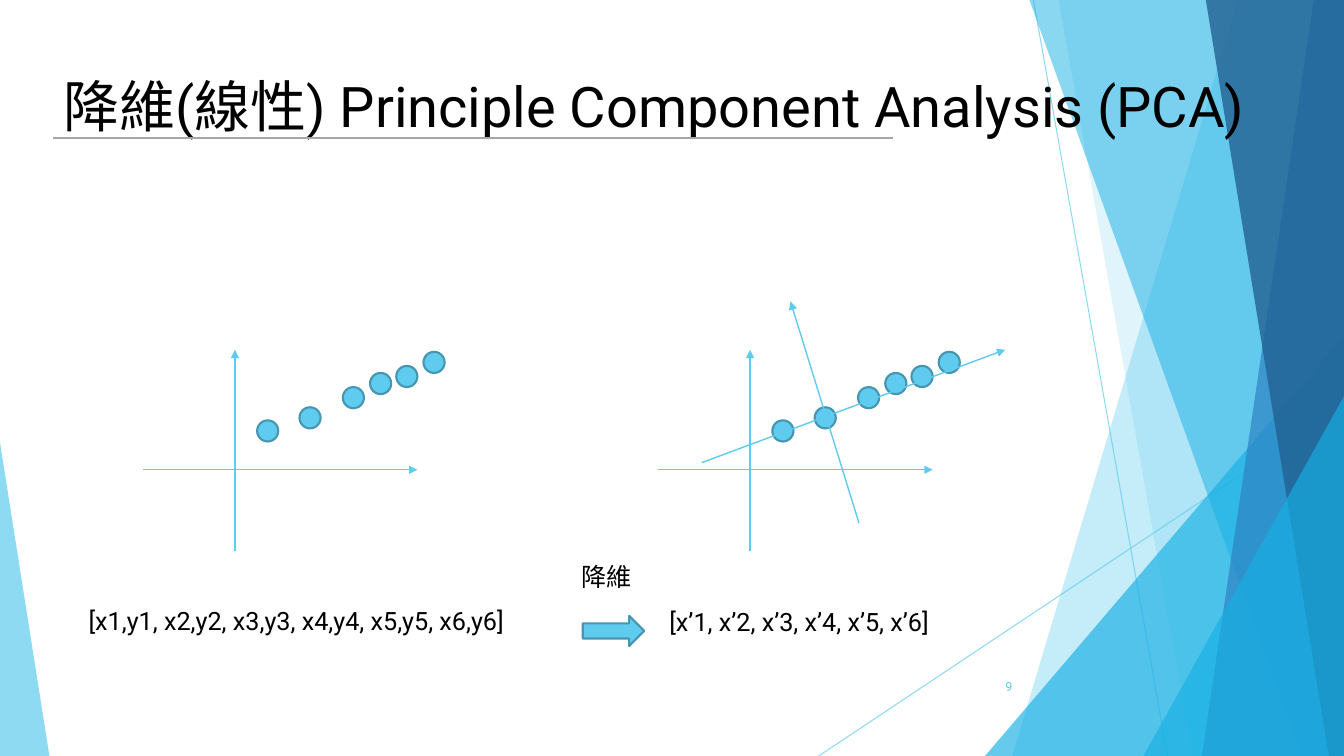
from lxml import etree
from pptx import Presentation
from pptx.dml.color import RGBColor
from pptx.enum.shapes import MSO_CONNECTOR, MSO_SHAPE
from pptx.enum.text import MSO_ANCHOR, MSO_AUTO_SIZE, PP_ALIGN
from pptx.oxml.ns import qn
from pptx.util import Inches, Pt

WIDTH, HEIGHT = 13.33, 7.5
FONT = "Roboto"
BLACK = RGBColor(0x00, 0x00, 0x00)
SKY = RGBColor(0x5F, 0xCB, 0xEF)
SKY_EDGE = RGBColor(0x46, 0x96, 0xB1)
CYAN = RGBColor(0x17, 0xB0, 0xE4)
BLUE = RGBColor(0x2E, 0x83, 0xC3)
NAVY = RGBColor(0x22, 0x62, 0x92)
GREY = RGBColor(0xA6, 0xA6, 0xA6)

TITLE = "降維(線性) Principle Component Analysis (PCA)"
# text, box (left, top, width, height)
LABELS = [
    ("[x1,y1, x2,y2, x3,y3, x4,y4, x5,y5, x6,y6]", (0.78, 5.96, 5.66, 0.4)),
    ("[x’1, x’2, x’3, x’4, x’5, x’6]", (6.54, 5.97, 5.66, 0.4)),
    ("降維", (5.67, 5.52, 1.3, 0.71)),
]
PAGE_NUMBER = "9"

# Backdrop: thin lines as (start, end)
RAYS = [((10.25, 0), (11.58, HEIGHT)), ((WIDTH, 4.03), (8.12, HEIGHT))]
# Bands reach the right edge: x at top, x at bottom, colour, opacity in percent.
# Wedges are right triangles: left, top, width, apex position, colour, opacity.
BAND, WEDGE = "band", "wedge"
BACKDROP = [
    (BAND, 12.28, 10.04, SKY, 36),
    (BAND, 10.5, 11.83, SKY, 20),
    (WEDGE, 9.77, 3.33, 3.56, 1, CYAN, 66),
    (BAND, 10.21, 12.91, CYAN, 50),
    (BAND, 13.03, 11.92, BLUE, 70),
    (BAND, 11.96, 13.18, NAVY, 80),
    (WEDGE, 11.34, 3.93, 1.99, 1, CYAN, 66),
    (WEDGE, 0, 4.39, 0.49, 0, SKY, 70),
]

# Scatter plots: both share the axes and dots, measured from the origin
ORIGINS = [(2.33, 4.66), (7.44, 4.66)]
AXES = [((-0.91, 0), (1.81, 0)), ((0, 0.81), (0, -1.19))]
DOTS = [(0.22, -0.49), (0.64, -0.62), (1.07, -0.82),
        (1.34, -0.96), (1.6, -1.03), (1.87, -1.17)]
DOT_SIZE = 0.21
COMPONENTS = [((6.96, 4.59), (9.97, 3.47)), ((8.52, 5.19), (7.84, 2.99))]


def set_opacity(element, percent):
    for colour in element.iter(qn("a:srgbClr")):
        etree.SubElement(colour, qn("a:alpha"), val=str(percent * 1000))


def add_line(slide, start, end, color=SKY, width=1, arrow=False):
    line = slide.shapes.add_connector(
        MSO_CONNECTOR.STRAIGHT, *map(Inches, (*start, *end)))
    line.line.color.rgb = color
    line.line.width = Pt(width)
    if arrow:
        etree.SubElement(line.line._get_or_add_ln(), qn("a:tailEnd"), type="triangle")
    etree.SubElement(line._element.spPr, qn("a:effectLst"))
    return line


def add_filled(slide, kind, box):
    shape = slide.shapes.add_shape(kind, *map(Inches, box))
    shape.shadow.inherit = False
    shape.fill.solid()
    shape.fill.fore_color.rgb = SKY
    shape.line.color.rgb = SKY_EDGE
    shape.line.width = Pt(1.5)
    return shape


def add_band(slide, top_x, bottom_x):
    points = [(top_x, 0), (WIDTH, 0), (WIDTH, HEIGHT), (bottom_x, HEIGHT)]
    points = [(Inches(x), Inches(y)) for x, y in points]
    builder = slide.shapes.build_freeform(*points[0])
    builder.add_line_segments(points[1:])
    return builder.convert_to_shape()


def add_wedge(slide, left, top, width, apex):
    box = (left, top, width, HEIGHT - top)
    wedge = slide.shapes.add_shape(MSO_SHAPE.ISOSCELES_TRIANGLE, *map(Inches, box))
    wedge.adjustments[0] = apex
    return wedge


def add_backdrop(slide):
    for start, end in RAYS:
        ray = add_line(slide, start, end, width=0.75)
        set_opacity(ray._element, 70)
    makers = {BAND: add_band, WEDGE: add_wedge}
    for kind, *geometry, color, opacity in BACKDROP:
        shape = makers[kind](slide, *geometry)
        shape.shadow.inherit = False
        shape.fill.solid()
        shape.fill.fore_color.rgb = color
        shape.line.fill.background()
        set_opacity(shape._element.spPr, opacity)


def write(shape, text, size, color=BLACK, align=PP_ALIGN.LEFT, anchor=MSO_ANCHOR.TOP):
    frame = shape.text_frame
    frame.word_wrap = True
    frame.auto_size = MSO_AUTO_SIZE.NONE
    frame.vertical_anchor = anchor
    frame.text = text
    paragraph = frame.paragraphs[0]
    paragraph.alignment = align
    paragraph.font.name = FONT
    paragraph.font.size = Pt(size)
    paragraph.font.color.rgb = color


def add_title(slide):
    title = slide.shapes.title
    title.left, title.top, title.width, title.height = map(
        Inches, (0.53, 0.66, 11.92, 0.77))
    write(title, TITLE, 40)
    slide.shapes._spTree.append(title._element)  # in front of the backdrop
    add_line(slide, (0.53, 1.37), (8.86, 1.37), GREY)


def add_plot(slide, origin):
    def place(point):
        return origin[0] + point[0], origin[1] + point[1]

    for start, end in AXES:
        add_line(slide, place(start), place(end), arrow=True)
    for dot in DOTS:
        add_filled(slide, MSO_SHAPE.OVAL, (*place(dot), DOT_SIZE, DOT_SIZE))


def main():
    presentation = Presentation()
    presentation.slide_width = Inches(WIDTH)
    presentation.slide_height = Inches(HEIGHT)
    slide = presentation.slides.add_slide(presentation.slide_layouts[5])

    add_backdrop(slide)
    add_title(slide)
    number = slide.shapes.add_textbox(*map(Inches, (9.39, 6.61, 0.75, 0.4)))
    write(number, PAGE_NUMBER, 9, SKY, PP_ALIGN.RIGHT, MSO_ANCHOR.MIDDLE)
    for origin in ORIGINS:
        add_plot(slide, origin)
    for start, end in COMPONENTS:
        add_line(slide, start, end, arrow=True)
    for text, box in LABELS:
        write(slide.shapes.add_textbox(*map(Inches, box)), text, 18)
    add_filled(slide, MSO_SHAPE.RIGHT_ARROW, (5.78, 6.11, 0.61, 0.3))

    presentation.save("out.pptx")


if __name__ == "__main__":
    main()
